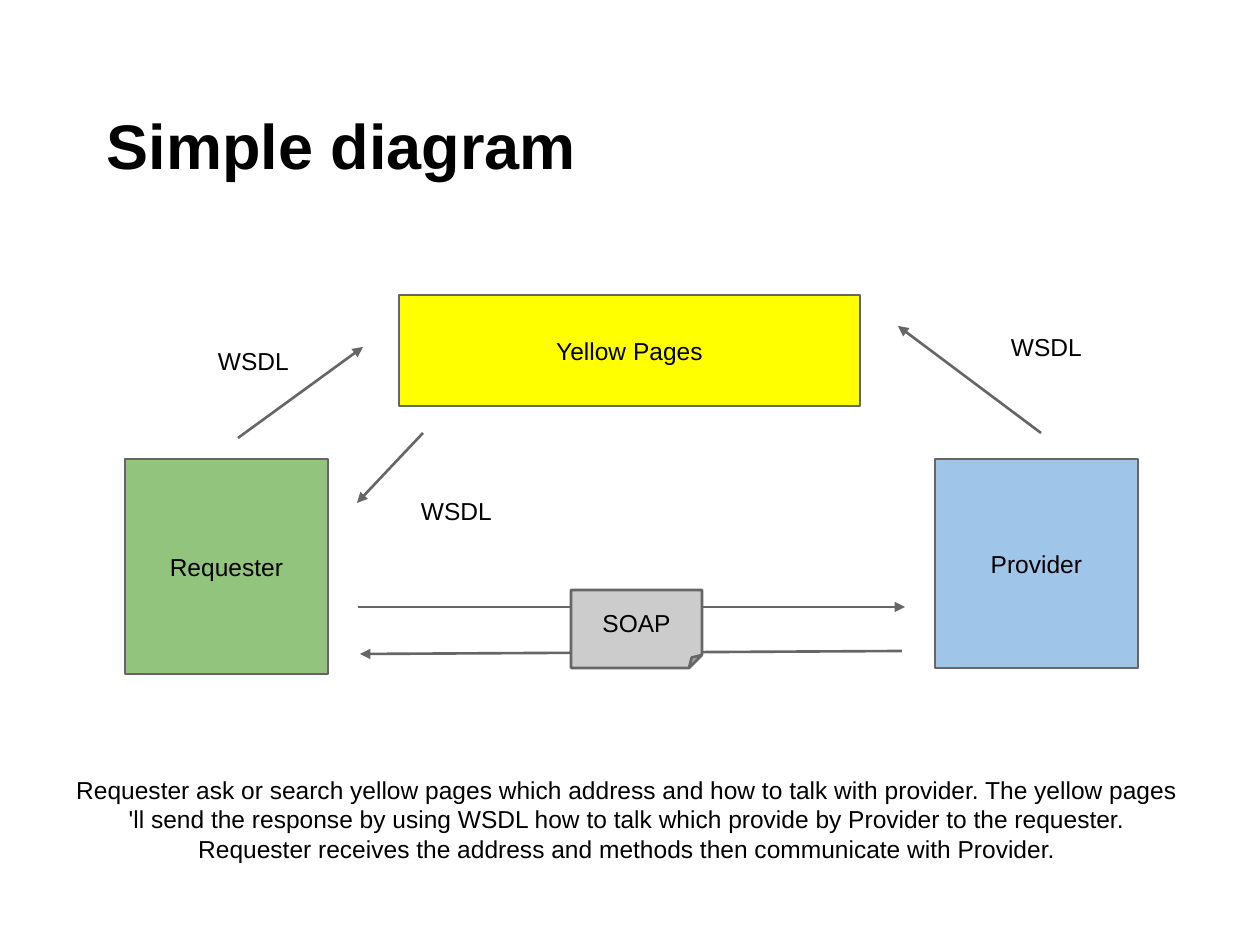
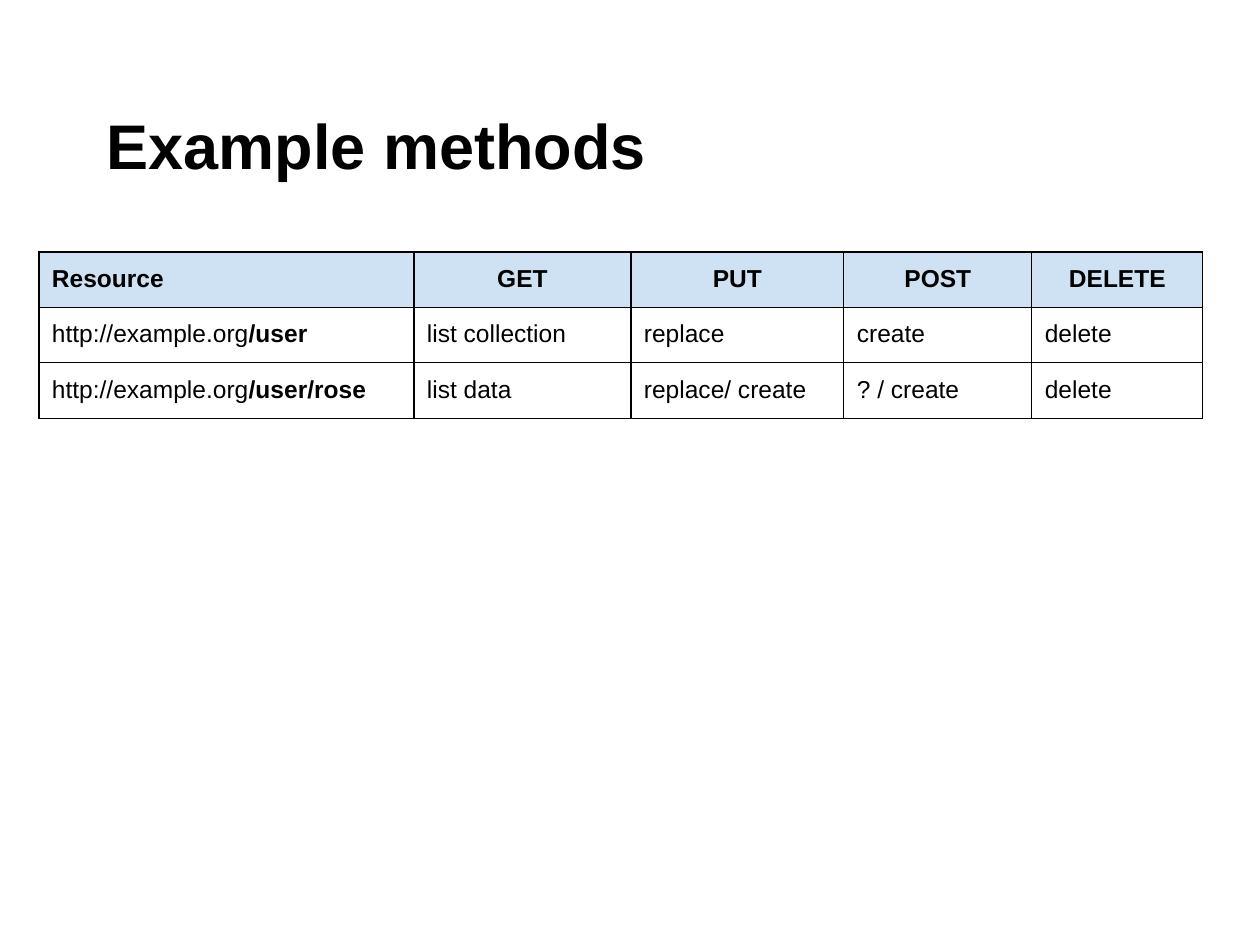
import dataclasses

import lxml.etree
import pptx
import pptx.dml.color
import pptx.enum.shapes
import pptx.enum.text
import pptx.oxml.ns
import pptx.util

SHAPE = pptx.enum.shapes.MSO_SHAPE
ALIGN = pptx.enum.text.PP_ALIGN
ANCHOR = pptx.enum.text.MSO_ANCHOR
qn = pptx.oxml.ns.qn


@dataclasses.dataclass(frozen=True)
class Theme:
    font: str = "Arial"
    title_size: int = 36
    body_size: int = 14
    outline_width: float = 1.5
    border_width: float = 0.75
    ink: str = "000000"
    outline: str = "666666"
    requester: str = "93C47D"
    provider: str = "9FC5E8"
    registry: str = "FFFF00"
    message: str = "CCCCCC"
    header: str = "CFE2F3"


def px(length):
    """Turn pixels, 126 to the inch, into EMU."""
    return pptx.util.Emu(round(length * 914400 / 126))


def rgb(colour):
    return pptx.dml.color.RGBColor.from_string(colour)


class Deck:
    """Holds the style and the current slide."""

    margin = px(13)

    def __init__(self, theme):
        self.theme = theme
        self.prs = pptx.Presentation()
        self.prs.slide_width, self.prs.slide_height = px(1260), px(945)
        self.slide = None

    def new_slide(self, title):
        self.slide = self.prs.slides.add_slide(self.prs.slide_layouts[6])
        heading = self.text(63, 38, 1134, 157, [(title, True)],
                            size=self.theme.title_size, anchor=ANCHOR.BOTTOM)
        # First-line indent shared by all titles
        heading.paragraphs[0]._p.get_or_add_pPr().set("indent", str(px(31)))

    def add_runs(self, frame, runs, align=ALIGN.LEFT, size=None):
        paragraph = frame.paragraphs[0]
        paragraph.alignment = align
        for words, bold in runs:
            run = paragraph.add_run()
            run.text = words
            run.font.name = self.theme.font
            run.font.size = pptx.util.Pt(size or self.theme.body_size)
            run.font.bold = bold
            run.font.color.rgb = rgb(self.theme.ink)

    def fill_frame(self, frame, runs, align, anchor, size=None):
        frame.word_wrap = True
        frame.vertical_anchor = anchor
        frame.margin_left = frame.margin_right = self.margin
        frame.margin_top = frame.margin_bottom = self.margin
        self.add_runs(frame, runs, align, size)

    def text(self, x, y, w, h, runs, align=ALIGN.LEFT, size=None, anchor=ANCHOR.TOP):
        frame = self.slide.shapes.add_textbox(px(x), px(y), px(w), px(h)).text_frame
        self.fill_frame(frame, runs, align, anchor, size)
        return frame

    def stroke(self, line):
        line.color.rgb = rgb(self.theme.outline)
        line.width = pptx.util.Pt(self.theme.outline_width)

    def box(self, x, y, w, h, label, colour, kind=SHAPE.RECTANGLE):
        shape = self.slide.shapes.add_shape(kind, px(x), px(y), px(w), px(h))
        shape.shadow.inherit = False
        shape.fill.solid()
        shape.fill.fore_color.rgb = rgb(colour)
        self.stroke(shape.line)
        self.fill_frame(shape.text_frame, [(label, False)], ALIGN.CENTER, ANCHOR.MIDDLE)

    def arrow(self, start, end):
        line = self.slide.shapes.add_connector(
            pptx.enum.shapes.MSO_CONNECTOR.STRAIGHT, *map(px, start + end))
        self.stroke(line.line)
        properties = line._element.spPr
        lxml.etree.SubElement(properties.find(qn("a:ln")), qn("a:tailEnd"), type="triangle")
        lxml.etree.SubElement(properties, qn("a:effectLst"))

    def border(self, cell):
        properties = cell._tc.get_or_add_tcPr()
        width = str(pptx.util.Pt(self.theme.border_width))
        for side in ("a:lnL", "a:lnR", "a:lnT", "a:lnB"):
            edge = lxml.etree.SubElement(properties, qn(side), w=width)
            fill = lxml.etree.SubElement(edge, qn("a:solidFill"))
            lxml.etree.SubElement(fill, qn("a:srgbClr"), val=self.theme.ink)

    def table(self, x, y, widths, row_height, rows):
        table = self.slide.shapes.add_table(
            len(rows), len(widths), px(x), px(y),
            px(sum(widths)), px(row_height * len(rows))).table
        table.first_row = table.horz_banding = False
        for column, width in zip(table.columns, widths):
            column.width = px(width)
        for r, row in enumerate(rows):
            table.rows[r].height = px(row_height)
            for c, runs in enumerate(row):
                cell = table.cell(r, c)
                cell.margin_left = cell.margin_right = self.margin
                cell.margin_top = cell.margin_bottom = self.margin
                self.border(cell)
                if r == 0:
                    cell.fill.solid()
                    cell.fill.fore_color.rgb = rgb(self.theme.header)
                else:
                    cell.fill.background()
                centred = r == 0 and c > 0
                self.add_runs(cell.text_frame, runs, ALIGN.CENTER if centred else ALIGN.LEFT)


def diagram_slide(deck):
    theme = deck.theme
    deck.new_slide("Simple diagram")

    # Parties
    deck.box(125, 459, 203, 215, "Requester", theme.requester)
    deck.box(935, 459, 203, 209, "Provider", theme.provider)
    deck.box(399, 295, 461, 111, "Yellow Pages", theme.registry)

    # Explanation
    deck.text(58, 762, 1138, 142, [(
        "Requester ask or search yellow pages which address and how to talk with "
        "provider. The yellow pages 'll send the response by using WSDL how to talk "
        "which provide by Provider to the requester. Requester receives the address "
        "and methods then communicate with Provider.", False)], ALIGN.CENTER)

    # Calls between the parties
    for start, end in (
        ((238, 438), (363, 347)),
        ((423, 433), (357, 503)),
        ((1041, 433), (898, 326)),
        ((358, 607), (905, 607)),
        ((902, 651), (360, 654)),
    ):
        deck.arrow(start, end)
    for x, y in ((205, 333), (408, 483), (998, 319)):
        deck.text(x, y, 103, 63, [("WSDL", False)])

    # Message on top of the request and response lines
    deck.box(571, 590, 131, 78, "SOAP", theme.message, SHAPE.FOLDED_CORNER)


def methods_slide(deck):
    deck.new_slide("Example methods")
    site = "http://example.org"
    header = ("Resource", "GET", "PUT", "POST", "DELETE")
    resources = {
        "/user": ("list collection", "replace", "create", "delete"),
        "/user/rose": ("list data", "replace/ create", "? / create", "delete"),
    }
    rows = [[[(name, True)] for name in header]]
    for route, effects in resources.items():
        rows.append([[(site, False), (route, True)]]
                    + [[(effect, False)] for effect in effects])
    deck.table(39, 252, (375, 217, 213, 188, 171), 53, rows)


def main():
    deck = Deck(Theme())
    diagram_slide(deck)
    methods_slide(deck)
    deck.prs.save("out.pptx")


if __name__ == "__main__":
    main()
